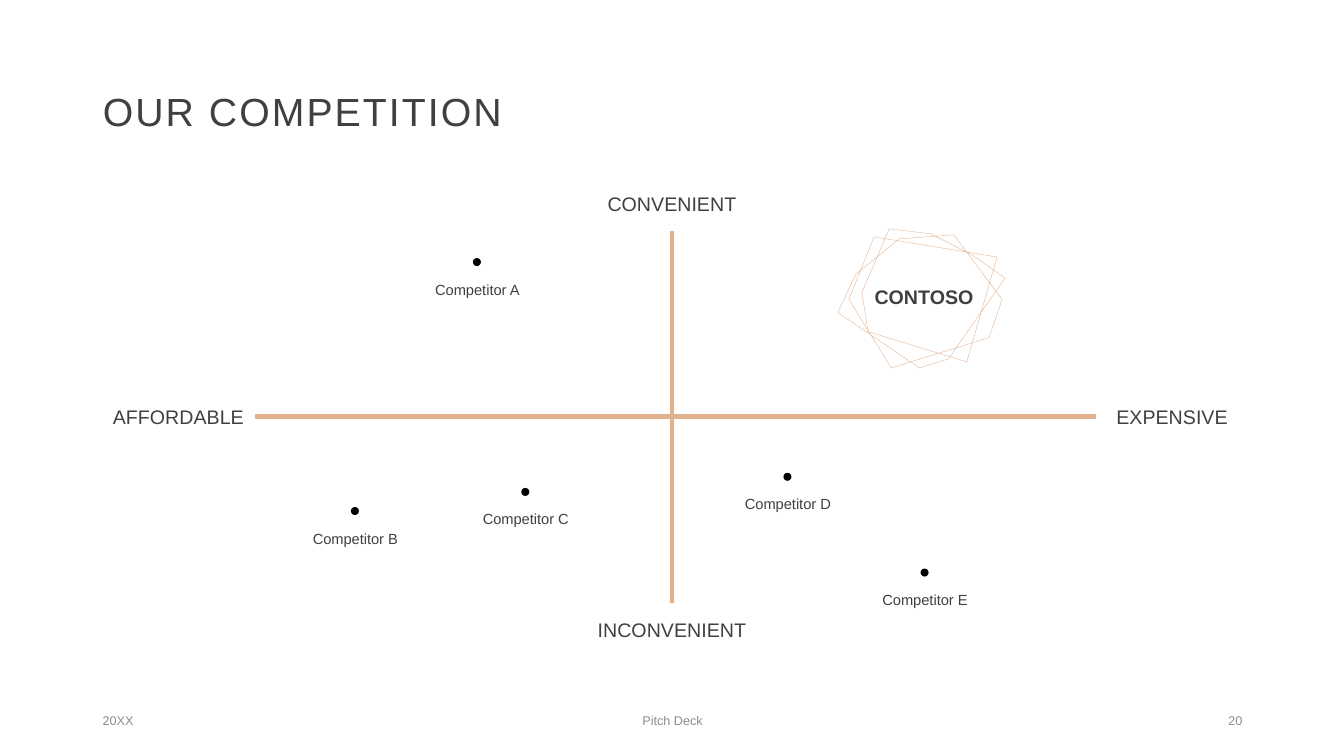
from lxml import etree
from pptx import Presentation
from pptx.dml.color import RGBColor
from pptx.enum.shapes import MSO_CONNECTOR, MSO_SHAPE
from pptx.enum.text import MSO_ANCHOR, MSO_AUTO_SIZE, PP_ALIGN
from pptx.oxml.ns import qn
from pptx.util import Pt

PX = 9144  # 100 px to the inch
LEFT, CENTER, RIGHT = PP_ALIGN.LEFT, PP_ALIGN.CENTER, PP_ALIGN.RIGHT
MIDDLE = MSO_ANCHOR.MIDDLE
FIXED = MSO_AUTO_SIZE.NONE
OVAL = MSO_SHAPE.OVAL
STRAIGHT = MSO_CONNECTOR.STRAIGHT
TOP_SIDE, LEFT_SIDE, BOTTOM_SIDE, RIGHT_SIDE = range(4)

FONT = "Arial"
DARK, GRAY, BLACK, TAN = "404040", "8C8C8C", "000000", "E2B18D"

RIVALS = [
    ("Competitor A", 409, 260),
    ("Competitor B", 288, 507),
    ("Competitor C", 457, 488),
    ("Competitor D", 717, 473),
    ("Competitor E", 853, 568),
]
FOOTER = [
    ("20XX", 92, 300, LEFT),
    ("Pitch Deck", 442, 450, CENTER),
    ("20", 942, 300, RIGHT),
]
BADGE = [
    (892, 237), (854, 268), (849, 272), (831, 310), (912, 365), (941, 356),
    (968, 317), (997, 276), (963, 252), (923, 232), (882, 227), (855, 290),
    (861, 329), (959, 359), (989, 255), (867, 235), (842, 297), (884, 365),
    (981, 335), (994, 297), (946, 233),
]


def px(*values):
    return [value * PX for value in values]


def color(code):
    return RGBColor.from_string(code)


def write(shape, text, size=14, fill=DARK, align=CENTER, bold=False,
          gap=None, leading=None):
    """Fill a shape with one formatted line; gap is letter spacing in points."""
    frame = shape.text_frame
    frame.word_wrap = True
    frame.auto_size = FIXED
    frame.vertical_anchor = MIDDLE
    line = frame.paragraphs[0]
    line.alignment = align
    if leading:
        line.line_spacing = leading
    run = line.add_run()
    run.text = text
    font = run.font
    font.name, font.size, font.bold = FONT, Pt(size), bold
    font.color.rgb = color(fill)
    if gap:
        run._r.get_or_add_rPr().set("spc", str(int(gap * 100)))


def add_title(slide, text):
    title = slide.shapes.title
    title.left, title.top, title.width, title.height = px(92, 40, 1150, 145)
    write(title, text, size=28, align=LEFT, gap=1.5, leading=0.9)


def add_label(slide, text, left, top, width, height=54, **style):
    box = slide.shapes.add_textbox(*px(left, top, width, height))
    write(box, text, **style)
    return box


def add_axis(slide, start, start_side, end, end_side):
    axis = slide.shapes.add_connector(STRAIGHT, 0, 0, 0, 0)
    axis.begin_connect(start, start_side)
    axis.end_connect(end, end_side)
    axis.line.color.rgb = color(TAN)
    axis.line.width = Pt(3.5)
    etree.SubElement(axis._element.spPr, qn("a:effectLst"))


def add_rival(slide, name, left, top):
    """Place a label and the dot above it."""
    add_label(slide, name, left, top, 129, size=10.5)
    dot = slide.shapes.add_shape(OVAL, *px(left + 60, top - 4, 8, 8))
    dot.shadow.inherit = False
    dot.fill.solid()
    dot.fill.fore_color.rgb = color(BLACK)
    dot.line.fill.background()


def add_badge(slide, name):
    pen = slide.shapes.build_freeform(*BADGE[0], scale=PX)
    pen.add_line_segments(BADGE[1:], close=True)
    badge = pen.convert_to_shape()
    badge.shadow.inherit = False
    badge.fill.background()
    badge.line.color.rgb = color(TAN)
    badge.line.width = Pt(0.25)
    add_label(slide, name, 823, 237, 187, 115, bold=True)


def main():
    deck = Presentation()
    deck.slide_width, deck.slide_height = px(1333, 750)
    slide = deck.slides.add_slide(deck.slide_layouts[5])
    add_title(slide, "OUR COMPETITION")

    north = add_label(slide, "CONVENIENT", 573, 175, 187)
    south = add_label(slide, "INCONVENIENT", 573, 598, 187)
    west = add_label(slide, "AFFORDABLE", 101, 386, 152)
    east = add_label(slide, "EXPENSIVE", 1087, 386, 151)
    add_axis(slide, west, RIGHT_SIDE, east, LEFT_SIDE)
    add_axis(slide, south, TOP_SIDE, north, BOTTOM_SIDE)

    for rival in RIVALS:
        add_rival(slide, *rival)
    add_badge(slide, "CONTOSO")
    for text, left, width, align in FOOTER:
        add_label(slide, text, left, 695, width, 40,
                  size=9, fill=GRAY, align=align)
    deck.save("out.pptx")


if __name__ == "__main__":
    main()
